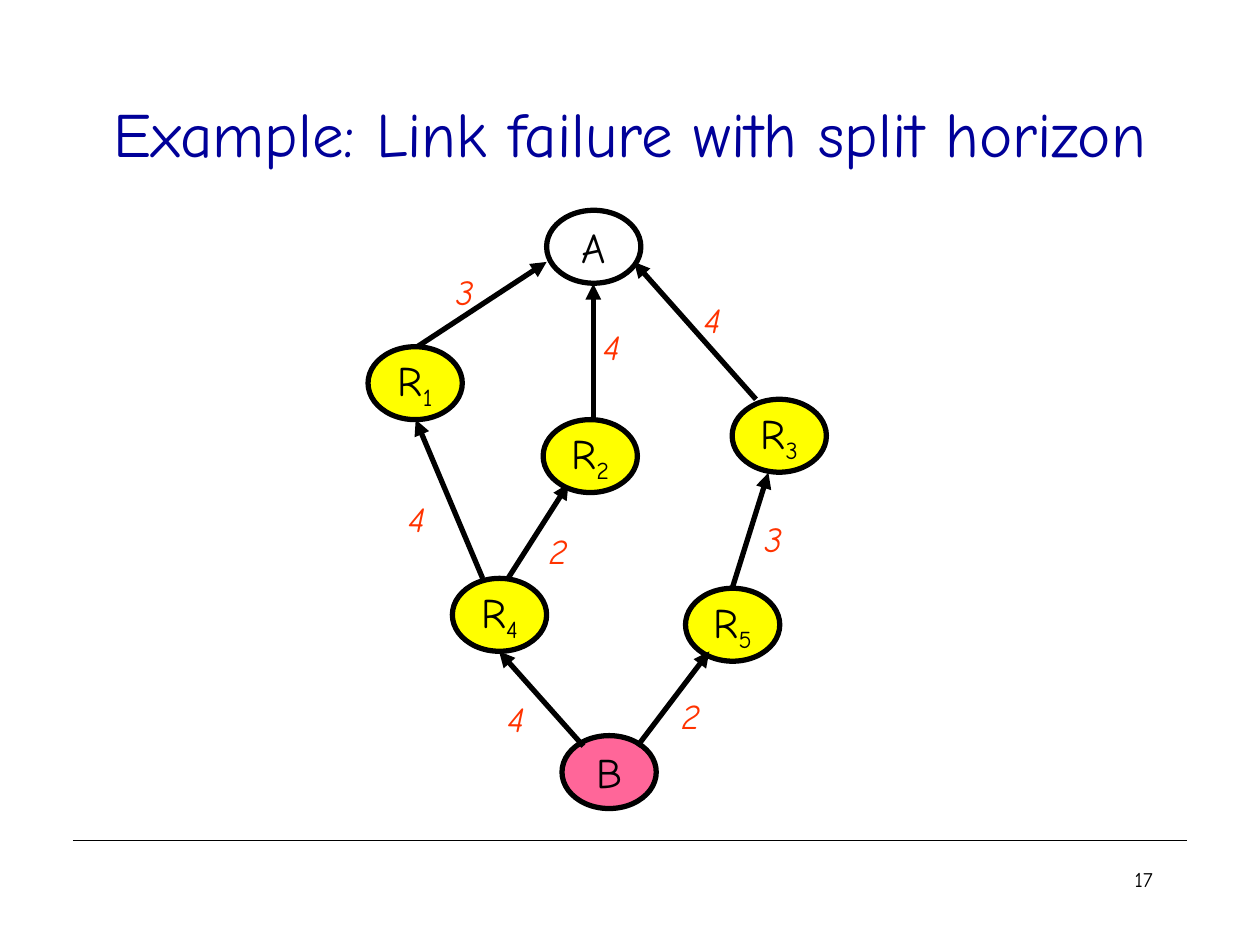
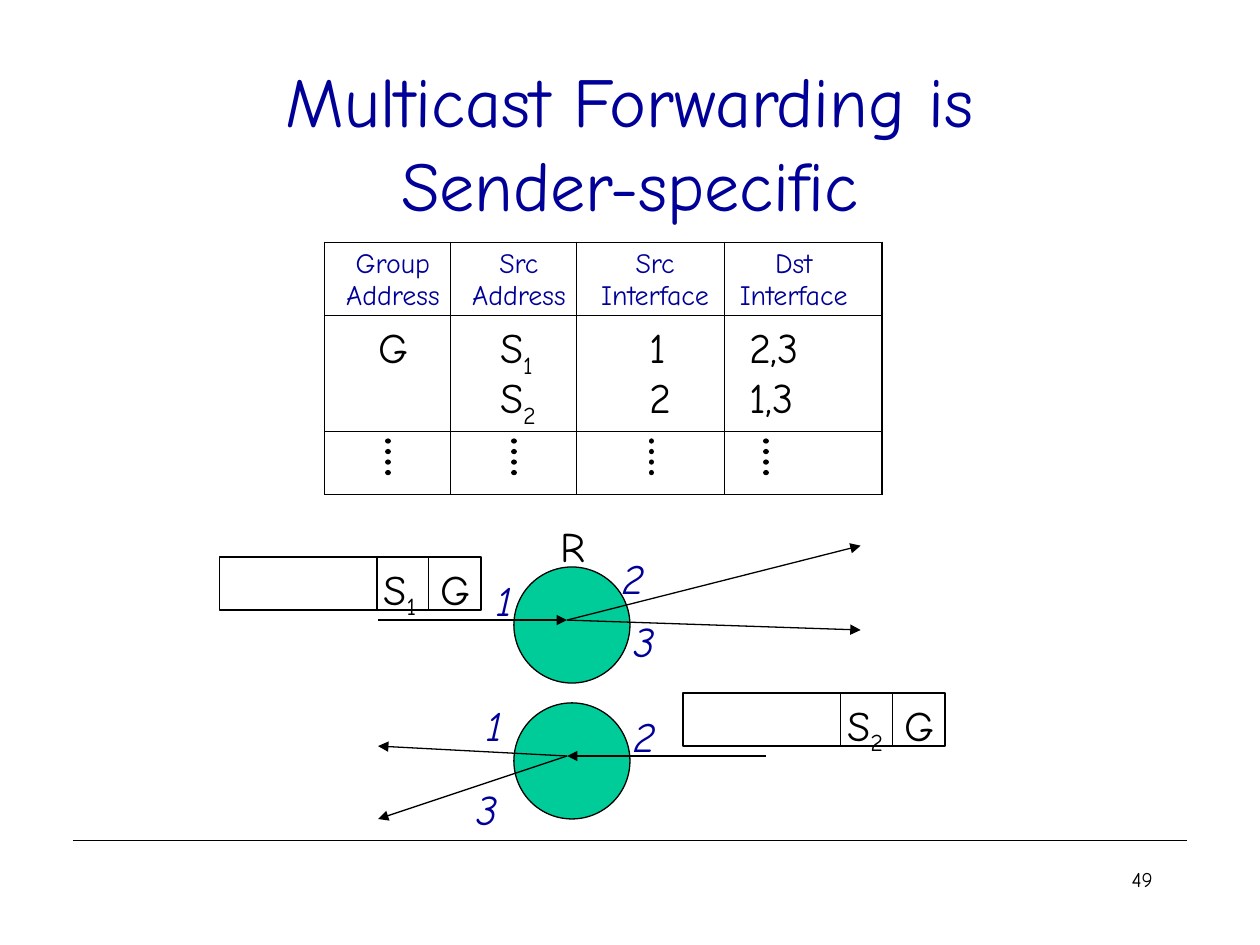
from lxml import etree
from pptx import Presentation
from pptx.dml.color import RGBColor
from pptx.enum import shapes, text
from pptx.oxml.ns import qn
from pptx.util import Cm, Pt

FONT = "Comic Neue"
COLORS = {
    "black": "000000",
    "white": "FFFFFF",
    "navy": "000099",
    "cost": "FF3300",
    "router": "FFFF00",
    "target": "FF6699",
    "hub": "00CC99",
}
THIN, THICK = 0.75, 3
LEFT, CENTER, RIGHT = text.PP_ALIGN.LEFT, text.PP_ALIGN.CENTER, text.PP_ALIGN.RIGHT


def color(name):
    return RGBColor.from_string(COLORS[name])


def write(paragraph, words, size, ink="black", align=LEFT, italic=False, subscript=""):
    paragraph.alignment = align
    font = paragraph.font
    font.name, font.size, font.italic = FONT, Pt(size), italic
    font.color.rgb = color(ink)
    paragraph.add_run().text = words
    if subscript:
        run = paragraph.add_run()
        run.text = subscript
        run.font._element.set("baseline", "-25000")


def add_label(slide, left, top, words, size=24, width=1.4, height=1.27, **style):
    frame = slide.shapes.add_textbox(Cm(left), Cm(top), Cm(width), Cm(height)).text_frame
    frame.word_wrap = True
    write(frame.paragraphs[0], words, size, **style)


def add_line(slide, start, end, weight=THIN, arrow=False, dotted=False):
    line = slide.shapes.add_connector(
        shapes.MSO_CONNECTOR.STRAIGHT, *(Cm(value) for value in (*start, *end)))
    line.line.color.rgb = color("black")
    line.line.width = Pt(weight)
    properties = line._element.spPr
    outline = properties.find(qn("a:ln"))
    if dotted:
        outline.set("cap", "rnd")
        etree.SubElement(outline, qn("a:prstDash"), val="sysDot")
    if arrow:
        etree.SubElement(outline, qn("a:tailEnd"), type="triangle")
    etree.SubElement(properties, qn("a:effectLst"))


def add_outlined(slide, kind, left, top, width, height, fill, weight=THIN):
    shape = slide.shapes.add_shape(kind, Cm(left), Cm(top), Cm(width), Cm(height))
    shape.shadow.inherit = False
    shape.fill.solid()
    shape.fill.fore_color.rgb = color(fill)
    shape.line.color.rgb = color("black")
    shape.line.width = Pt(weight)
    return shape


def add_node(slide, left, top, name, subscript="", fill="router"):
    node = add_outlined(slide, shapes.MSO_SHAPE.OVAL, left, top, 1.9, 1.47, fill, THICK)
    frame = node.text_frame
    frame.word_wrap = False
    frame.vertical_anchor = text.MSO_ANCHOR.MIDDLE
    write(frame.paragraphs[0], name, 24, align=CENTER, subscript=subscript)


def add_packet(slide, left, top, sender):
    """Draw a packet with its source and group address fields at the right."""
    height = 1.07
    add_outlined(slide, shapes.MSO_SHAPE.RECTANGLE, left, top, 5.28, height, "white")
    for offset in (3.18, 4.22):
        add_line(slide, (left + offset, top), (left + offset, top + height))
    add_label(slide, left + 3.06, top, "S", subscript=sender)
    add_label(slide, left + 4.22, top, "G")


def format_cell(cell, left, right, top):
    cell.margin_left, cell.margin_right = Cm(left), Cm(right)
    cell.margin_top, cell.margin_bottom = Cm(top), Cm(0)
    properties = cell._tc.get_or_add_tcPr()
    for side in ("lnL", "lnR", "lnT", "lnB"):
        border = etree.SubElement(properties, qn(f"a:{side}"), w=str(Pt(THIN)))
        fill = etree.SubElement(border, qn("a:solidFill"))
        etree.SubElement(fill, qn("a:srgbClr"), val=COLORS["black"])
    cell.fill.solid()
    cell.fill.fore_color.rgb = color("white")


def fill_cell(cell, lines, size, spacing=None, **style):
    """Write one paragraph for each (words, subscript) pair."""
    frame = cell.text_frame
    for index, (words, subscript) in enumerate(lines):
        paragraph = frame.add_paragraph() if index else frame.paragraphs[0]
        paragraph.line_spacing = spacing
        write(paragraph, words, size, subscript=subscript, **style)


def add_forwarding_table(slide):
    left, top = 6.55, 4.88
    widths, heights = (2.54, 2.54, 2.97, 3.18), (1.48, 2.34, 1.27)
    # heading lines, heading margins, entries, entry left and top margins, x of the dots
    columns = [
        (("Group", "Address"), (0.2, 0), [("G", "")], (1.07, 0.15), 7.82),
        (("Src", "Address"), (0.2, 0), [("S", "1"), ("S", "2")], (0.99, 0.28), 10.36),
        (("Src", "Interface"), (0.18, 0), [("1", ""), ("2", "")], (1.47, 0.15), 13.13),
        (("Dst", "Interface"), (0, 0.38), [("2,3", ""), ("1,3", "")], (0.5, 0.15), 15.44),
    ]
    table = slide.shapes.add_table(
        len(heights), len(widths), Cm(left), Cm(top), Cm(sum(widths)), Cm(sum(heights))).table
    table.first_row = table.horz_banding = False
    for row, height in zip(table.rows, heights):
        row.height = Cm(height)
    for index, (heading, margins, entries, (indent, entry_top), dots_x) in enumerate(columns):
        table.columns[index].width = Cm(widths[index])
        head, body, more = (table.cell(row, index) for row in range(3))
        format_cell(head, *margins, 0.13)
        format_cell(body, indent, 0, entry_top)
        format_cell(more, 0, 0, 0)
        fill_cell(head, [(word, "") for word in heading], 16, ink="navy", align=CENTER)
        fill_cell(body, entries, 24, spacing=Pt(28.8))
        add_line(slide, (dots_x, 8.89), (dots_x, 9.73), THICK, dotted=True)


def add_base_slide(presentation, title, title_top, title_size, number):
    slide = presentation.slides.add_slide(presentation.slide_layouts[5])
    add_line(slide, (1.47, 16.94), (23.93, 16.94))
    shape = slide.shapes.title
    shape.left, shape.top, shape.width, shape.height = (
        Cm(value) for value in (1.9, title_top, 21.6, 3.18))
    frame = shape.text_frame
    frame.auto_size = text.MSO_AUTO_SIZE.NONE
    frame.vertical_anchor = text.MSO_ANCHOR.MIDDLE
    paragraph = frame.paragraphs[0]
    first, *rest = title.split("\n")
    write(paragraph, first, title_size, ink="navy", align=CENTER)
    for line in rest:
        paragraph.add_line_break()
        paragraph.add_run().text = line
    add_label(slide, 18.21, 17.35, number, size=12, width=5.28, align=RIGHT)
    return slide


def build_link_failure(presentation):
    slide = add_base_slide(
        presentation, "Example: Link failure with split horizon", 1.07, 36, "17")
    add_node(slide, 11.33, 14.83, "B", fill="target")
    add_node(slide, 11.02, 4.24, "A", fill="white")
    for left, top, number in ((7.42, 6.99, "1"), (9.12, 11.66, "4"), (13.82, 11.86, "5")):
        add_node(slide, left, top, "R", number)
    links = [  # start, end, cost, place of the cost
        ((11.96, 8.46), (11.96, 5.72), "4", (11.91, 6.43)),
        ((12.85, 15.04), (14.3, 13.13), "2", (13.49, 13.87)),
        ((11.76, 15.04), (10.06, 13.13), "4", (9.98, 13.94)),
        ((15.24, 8.05), (12.78, 5.28), "4", (13.94, 5.89)),
        ((8.41, 6.99), (11.02, 5.28), "3", (8.94, 5.33)),
        ((9.73, 11.66), (8.38, 8.46), "4", (7.98, 9.91)),
        ((10.24, 11.66), (11.46, 9.75), "2", (10.82, 10.54)),
        ((14.76, 11.86), (15.49, 9.53), "3", (15.16, 10.31)),
    ]
    for start, end, cost, place in links:
        add_line(slide, start, end, THICK, arrow=True)
        add_label(slide, *place, cost, size=20, width=1.1, height=1.12, ink="cost", italic=True)
    for left, top, number in ((10.95, 8.46, "2"), (14.76, 8.05, "3")):
        add_node(slide, left, top, "R", number)


def build_multicast(presentation):
    slide = add_base_slide(
        presentation, "Multicast Forwarding is\nSender-specific", 1.27, 40, "49")
    add_forwarding_table(slide)
    for top in (11.43, 14.17):
        add_outlined(slide, shapes.MSO_SHAPE.OVAL, 10.36, top, 2.34, 2.34, "hub")
    add_label(slide, 11.05, 10.36, "R")
    flows = [  # source, hub, destinations
        ((7.62, 12.5), (11.43, 12.5), ((17.35, 11), (17.35, 12.7))),
        ((15.44, 15.24), (11.43, 15.24), ((7.62, 15.04), (7.62, 16.51))),
    ]
    for source, hub, destinations in flows:
        add_line(slide, source, hub, arrow=True)
        for destination in destinations:
            add_line(slide, hub, destination, arrow=True)
    add_packet(slide, 4.42, 11.23, "1")
    add_packet(slide, 13.77, 13.97, "2")
    interfaces = [
        (9.75, 11.46, "1"), (12.29, 11.02, "2"), (12.52, 12.29, "3"),
        (9.55, 13.97, "1"), (12.52, 14.2, "2"), (9.35, 15.67, "3"),
    ]
    for left, top, number in interfaces:
        add_label(slide, left, top, number, ink="navy", italic=True)


def main():
    presentation = Presentation()
    presentation.slide_width, presentation.slide_height = Cm(25.4), Cm(19.05)
    build_link_failure(presentation)
    build_multicast(presentation)
    presentation.save("out.pptx")


if __name__ == "__main__":
    main()
